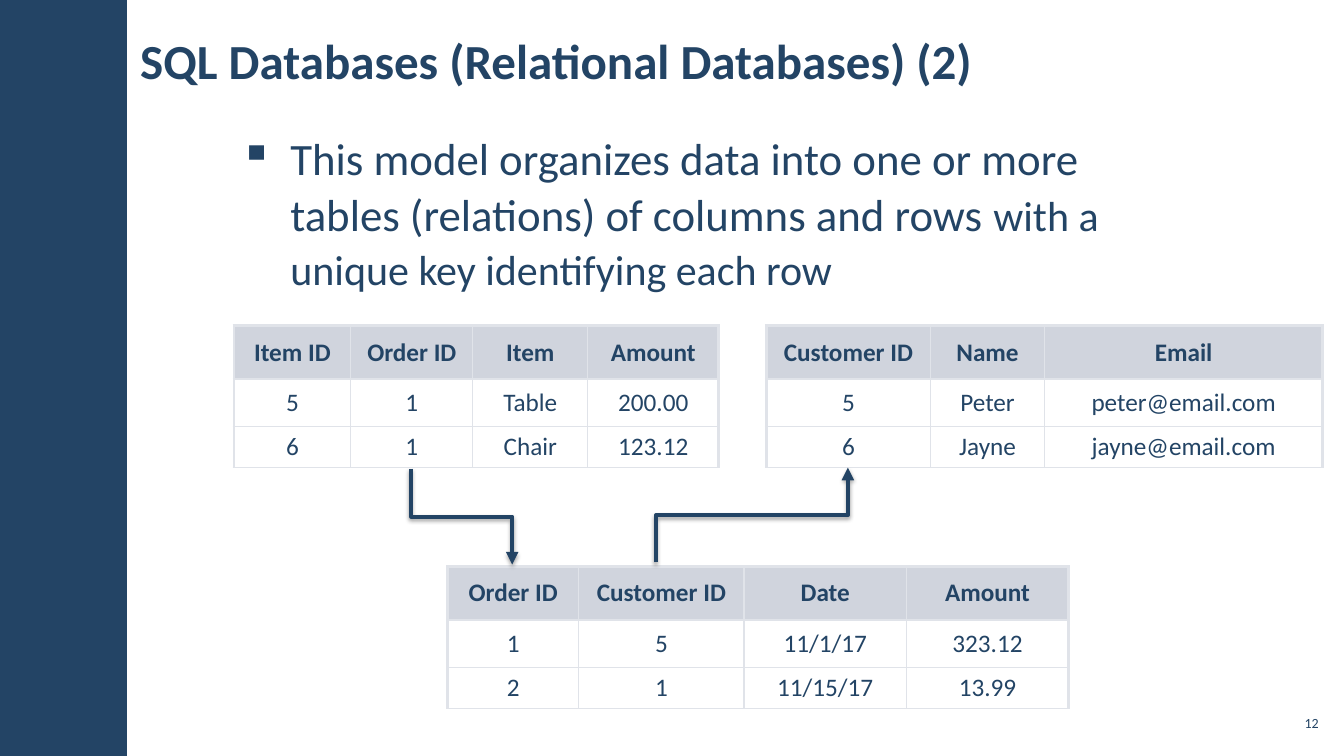
from lxml.etree import SubElement as Sub
from pptx import Presentation
from pptx.dml.color import RGBColor as RGB
from pptx.enum.shapes import MSO_CONNECTOR as Conn, MSO_SHAPE as Shape
from pptx.enum.text import MSO_ANCHOR as Anchor, PP_ALIGN as Align
from pptx.oxml import parse_xml
from pptx.oxml.ns import qn
from pptx.util import Inches, Pt

NAVY = RGB(0x23, 0x44, 0x65)
HEAD = RGB(0xA3, 0xAB, 0xBC)
RULE = RGB(0xE0, 0xE3, 0xE9)
WHITE = RGB(0xFF, 0xFF, 0xFF)
FONT = "Calibri"
NS = 'xmlns:a="http://schemas.openxmlformats.org/drawingml/2006/main"'
ROWS = (0.53, 0.47, 0.41)

ITEMS = [("Item ID", "Order ID", "Item", "Amount"),
         ("5", "1", "Table", "200.00"),
         ("6", "1", "Chair", "123.12")]
BUYERS = [("Customer ID", "Name", "Email"),
          ("5", "Peter", "peter@email.com"),
          ("6", "Jayne", "jayne@email.com")]
ORDERS = [("Order ID", "Customer ID", "Date", "Amount"),
          ("1", "5", "11/1/17", "323.12"),
          ("2", "1", "11/15/17", "13.99")]
BODY = [[("This model organizes data into one or more ", 32)],
        [("tables (relations) of columns and rows ", 32), ("with a ", 30)],
        [("unique key identifying each row", 30)]]


def style(run, size, bold=False):
    """Give a run the slide's font and colour."""
    font = run.font
    font.name, font.size, font.bold = FONT, Pt(size), bold
    font.color.rgb = NAVY


def frame(slide, box, side=0.12, anchor=Anchor.MIDDLE):
    """Add a wrapping text box and return its text frame."""
    text = slide.shapes.add_textbox(*map(Inches, box)).text_frame
    text.word_wrap = True
    text.vertical_anchor = anchor
    text.margin_left = text.margin_right = Inches(side)
    text.margin_top = text.margin_bottom = Inches(0.04)
    return text


def band(slide, box):
    """Draw the solid side band."""
    bar = slide.shapes.add_shape(Shape.RECTANGLE, *map(Inches, box))
    bar.shadow.inherit = False
    bar.fill.solid()
    bar.fill.fore_color.rgb = NAVY
    bar.line.fill.background()


def label(slide, box, words, size, bold=False, side=0.12, align=Align.LEFT):
    """Write one line of text in a box."""
    para = frame(slide, box, side).paragraphs[0]
    para.text = words
    para.alignment = align
    style(para.runs[0], size, bold)


def body(slide, box):
    """Write the bulleted statement."""
    para = frame(slide, box, anchor=Anchor.TOP).paragraphs[0]
    para.line_spacing = 1.05
    para.space_before = para.space_after = Pt(6)
    props = para._p.get_or_add_pPr()
    props.set("marL", str(Inches(0.5)))
    props.set("indent", str(-Inches(0.5)))
    Sub(props, qn("a:buChar"), char="▪")
    for num, line in enumerate(BODY):
        if num:
            para.add_line_break()
        for words, size in line:
            run = para.add_run()
            run.text = words
            style(run, size)


def edge(cell, side, width):
    """Draw one border of a cell."""
    line = Sub(cell._tc.get_or_add_tcPr(), qn("a:ln" + side), w=str(Pt(width)))
    Sub(Sub(line, qn("a:solidFill")), qn("a:srgbClr"), val=str(RULE))


def paint(cell, words, head):
    """Fill a cell and set its centred text."""
    if head:
        cell.fill.solid()
        cell.fill.fore_color.rgb = HEAD
        tint = cell._tc.tcPr.find(qn("a:solidFill"))[0]
        Sub(tint, qn("a:alpha"), val="50000")
    else:
        cell.fill.background()
    cell.vertical_anchor = Anchor.MIDDLE
    cell.margin_left = cell.margin_right = Inches(0.16)
    cell.margin_top = cell.margin_bottom = Inches(0.05)
    para = cell.text_frame.paragraphs[0]
    para.text = words
    para.alignment = Align.CENTER
    para.line_spacing = 0.95
    style(para.runs[0], 18, head)


def grid(slide, left, top, data, widths):
    """Build one relation as a table with a shaded header."""
    box = map(Inches, (left, top, sum(widths), sum(ROWS)))
    table = slide.shapes.add_table(len(data), len(widths), *box).table
    table.first_row = table.horz_banding = False
    for col, width in zip(table.columns, widths):
        col.width = Inches(width)
    for y, (row, height) in enumerate(zip(data, ROWS)):
        table.rows[y].height = Inches(height)
        for x, words in enumerate(row):
            cell = table.cell(y, x)
            thick = {"L": x == 0, "R": x == len(row) - 1, "T": y < 2, "B": y == 0}
            for side, wide in thick.items():
                edge(cell, side, 2.25 if wide else 1)
            paint(cell, words, y == 0)


def link(slide, start, end):
    """Draw an elbow arrow that leaves and arrives vertically."""
    (x1, y1), (x2, y2) = start, end
    midx, midy = (x1 + x2) / 2, (y1 + y2) / 2
    halfx, halfy = (x2 - x1) / 2, (y2 - y1) / 2
    ends = (midx - halfy, midy + halfx, midx + halfy, midy - halfx)
    arrow = slide.shapes.add_connector(Conn.ELBOW, *map(Inches, ends))
    arrow.line.color.rgb = NAVY
    arrow.line.width = Pt(3)
    props = arrow._element.spPr
    props.find(qn("a:xfrm")).set("rot", "5400000")
    Sub(props.find(qn("a:ln")), qn("a:tailEnd"), type="triangle")
    props.append(parse_xml(
        f'<a:effectLst {NS}><a:outerShdw blurRad="{Pt(3.1)}" dist="{Pt(1.8)}" '
        'dir="5400000" rotWithShape="0"><a:srgbClr val="000000">'
        '<a:alpha val="35000"/></a:srgbClr></a:outerShdw></a:effectLst>'))


def main():
    """Build and save the slide."""
    deck = Presentation()
    deck.slide_width, deck.slide_height = Inches(13.33), Inches(7.5)
    slide = deck.slides.add_slide(deck.slide_layouts[6])
    slide.background.fill.solid()
    slide.background.fill.fore_color.rgb = WHITE
    band(slide, (0, 0, 1.26, 7.5))
    body(slide, (2.26, 1.23, 10.86, 5.77))
    label(slide, (1.27, 0.11, 9.34, 0.97),
          "SQL Databases (Relational Databases) (2)", 35, True)
    label(slide, (12.65, 7, 0.47, 0.34), "12", 10, side=0.04, align=Align.RIGHT)
    grid(slide, 7.6, 3.23, BUYERS, (1.63, 1.13, 2.76))
    grid(slide, 4.44, 5.62, ORDERS, (1.3, 1.64, 1.61, 1.61))
    grid(slide, 2.32, 3.23, ITEMS, (1.16, 1.21, 1.14, 1.3))
    link(slide, (4.08, 4.65), (5.08, 5.6))
    link(slide, (6.51, 5.58), (8.41, 4.64))
    deck.save("out.pptx")


if __name__ == "__main__":
    main()
